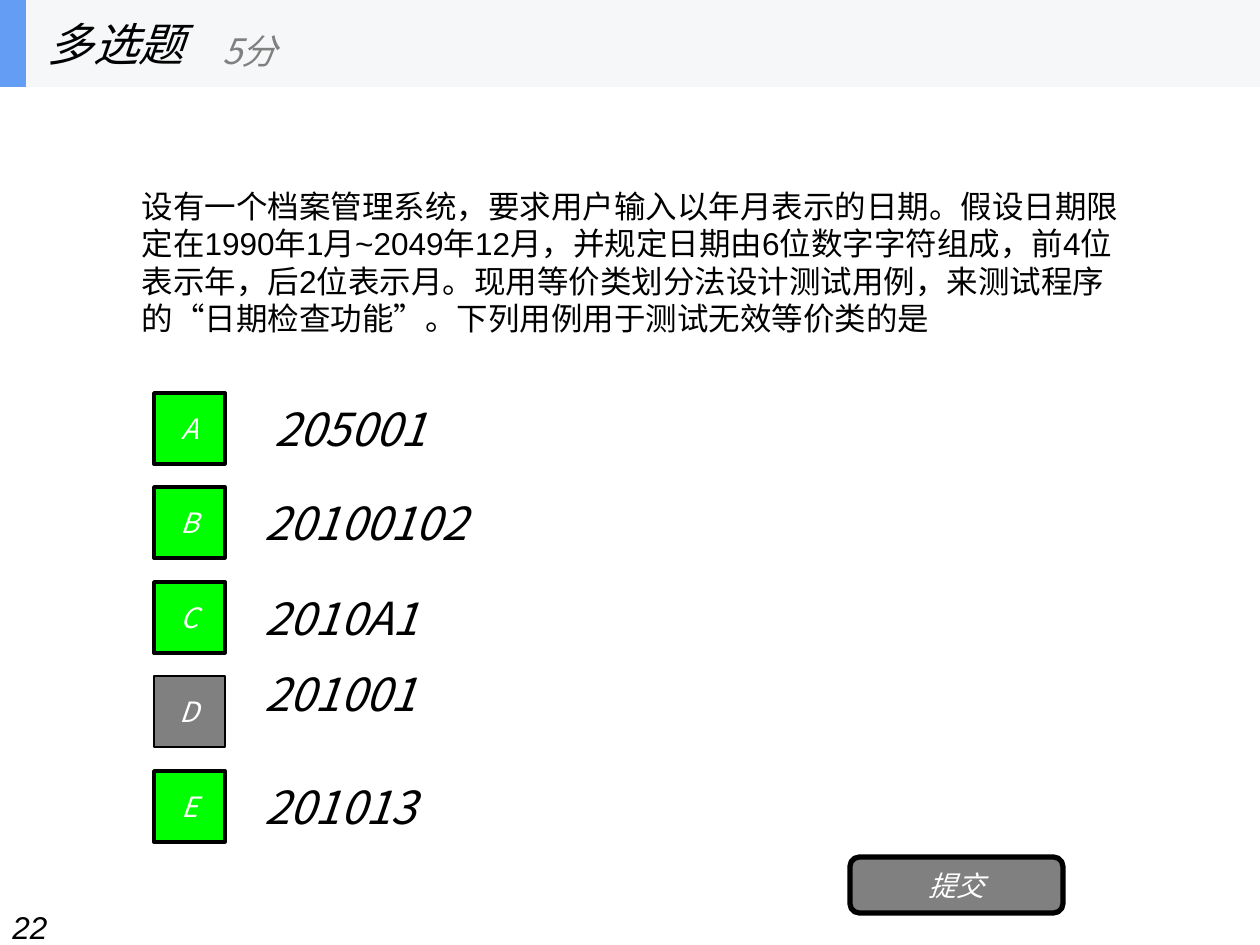
import pptx
import pptx.dml.color
import pptx.enum.shapes
import pptx.enum.text
import pptx.oxml
import pptx.oxml.ns
import pptx.util

PX = 914400 / 126
BLACK = pptx.dml.color.RGBColor(0, 0, 0)
WHITE = pptx.dml.color.RGBColor(255, 255, 255)
GRAY = pptx.dml.color.RGBColor(0x80, 0x80, 0x80)
GREEN = pptx.dml.color.RGBColor(0, 255, 0)
BAND = pptx.dml.color.RGBColor(0xF6, 0xF7, 0xF8)
ACCENT = pptx.dml.color.RGBColor(0x63, 0x9E, 0xF4)
ARIAL = "Arial"
NOTO = "Noto Sans CJK SC"
RECT = pptx.enum.shapes.MSO_SHAPE.RECTANGLE
ROUNDED = pptx.enum.shapes.MSO_SHAPE.ROUNDED_RECTANGLE
LEFT = pptx.enum.text.PP_ALIGN.LEFT
CENTER = pptx.enum.text.PP_ALIGN.CENTER
TOP = pptx.enum.text.MSO_ANCHOR.TOP
MIDDLE = pptx.enum.text.MSO_ANCHOR.MIDDLE

ANSWERS = [
    ("A", "205001", True),
    ("B", "20100102", True),
    ("C", "2010A1", True),
    ("D", "201001", False),
    ("E", "201013", True),
]
QUESTION = (
    "设有一个档案管理系统，要求用户输入以年月表示的日期。"
    "假设日期限定在1990年1月~2049年12月，并规定日期由6位数字字符组成，"
    "前4位表示年，后2位表示月。现用等价类划分法设计测试用例，"
    "来测试程序的“日期检查功能”。下列用例用于测试无效等价类的是"
)


def px(length):
    """Turn pixels into EMU."""
    return pptx.util.Emu(round(length * PX))


def box(left, top, width, height):
    """Return a frame in EMU."""
    return px(left), px(top), px(width), px(height)


def write(shape, text, size, color, font=NOTO, italic=True, align=LEFT, anchor=MIDDLE):
    """Put one formatted run in a shape and return its paragraph."""
    frame = shape.text_frame
    frame.word_wrap = True
    frame.auto_size = pptx.enum.text.MSO_AUTO_SIZE.NONE
    frame.vertical_anchor = anchor
    paragraph = frame.paragraphs[0]
    paragraph.alignment = align
    run = paragraph.add_run()
    run.text = text
    run.font.size = pptx.util.Pt(size)
    run.font.name = font
    run.font.italic = italic
    run.font.color.rgb = color
    properties = run.font._element
    properties.set("lang", "zh-CN")
    east_asian = pptx.oxml.parse_xml(
        f'<a:ea {pptx.oxml.ns.nsdecls("a")} typeface="{NOTO}"/>')
    properties.find(pptx.oxml.ns.qn("a:latin")).addnext(east_asian)
    return paragraph


def add_label(slide, frame, text, size, color, **style):
    """Add a text box."""
    label = slide.shapes.add_textbox(*box(*frame))
    write(label, text, size, color, **style)
    return label


def add_block(shapes, kind, frame, fill, line_width=0):
    """Add a filled shape, outlined in black when a width is given."""
    block = shapes.add_shape(kind, *box(*frame))
    block.shadow.inherit = False
    block.fill.solid()
    block.fill.fore_color.rgb = fill
    if line_width:
        block.line.color.rgb = BLACK
        block.line.width = pptx.util.Pt(line_width)
    else:
        block.line.fill.background()
    return block


def place(placeholder, frame):
    """Move and size a placeholder."""
    (placeholder.left, placeholder.top,
     placeholder.width, placeholder.height) = box(*frame)


def add_question(slide):
    """Fill the body placeholder with the question."""
    body = slide.placeholders[1]
    place(body, (129, 146, 1008, 232))
    paragraph = write(body, QUESTION, 18, BLACK, font=ARIAL, italic=False)
    properties = paragraph._p.get_or_add_pPr()
    properties.set("marL", "0")
    properties.set("indent", "0")
    properties.append(pptx.oxml.parse_xml(
        f'<a:buNone {pptx.oxml.ns.nsdecls("a")}/>'))
    paragraph.space_before = pptx.util.Pt(0)
    paragraph.line_spacing = pptx.util.Pt(21.4)


def add_answers(slide):
    """Add the lettered boxes and their answers at an even pitch."""
    for index, (letter, answer, chosen) in enumerate(ANSWERS):
        offset = index * 189 // 2
        block = add_block(slide.shapes, RECT, (154, 393 + offset, 71, 71),
                          GREEN if chosen else GRAY, 2 if chosen else 1)
        write(block, letter, 16, WHITE, align=CENTER)
        left = 262 if index == 0 else 252
        label = add_label(slide, (left, 384 + offset, 882, 88), answer, 26, BLACK)
        if not chosen:
            label.top = px(678)
            label.text_frame.margin_bottom = px(64)


def add_header(slide):
    """Add the band with the title and the score."""
    band = slide.shapes.add_group_shape()
    add_block(band.shapes, RECT, (0, 0, 1260, 87), BAND)
    add_block(band.shapes, RECT, (0, 0, 26, 87), ACCENT)
    title = slide.shapes.title
    place(title, (35, 0, 262, 87))
    write(title, "多选题", 26, BLACK)
    band._element.addnext(title._element)
    add_label(slide, (210, 15, 315, 71), "5分", 20, GRAY)


def main():
    """Build and save the slide."""
    deck = pptx.Presentation()
    deck.slide_width, deck.slide_height = px(1260), px(945)
    slide = deck.slides.add_slide(deck.slide_layouts[1])
    add_question(slide)
    add_answers(slide)
    submit = add_block(slide.shapes, ROUNDED, (850, 857, 213, 56), GRAY, 3)
    write(submit, "提交", 16, WHITE, align=CENTER)
    add_header(slide)
    add_label(slide, (0, 902, 1260, 37), "22", 18, BLACK, font=ARIAL, anchor=TOP)
    deck.save("out.pptx")


if __name__ == "__main__":
    main()
